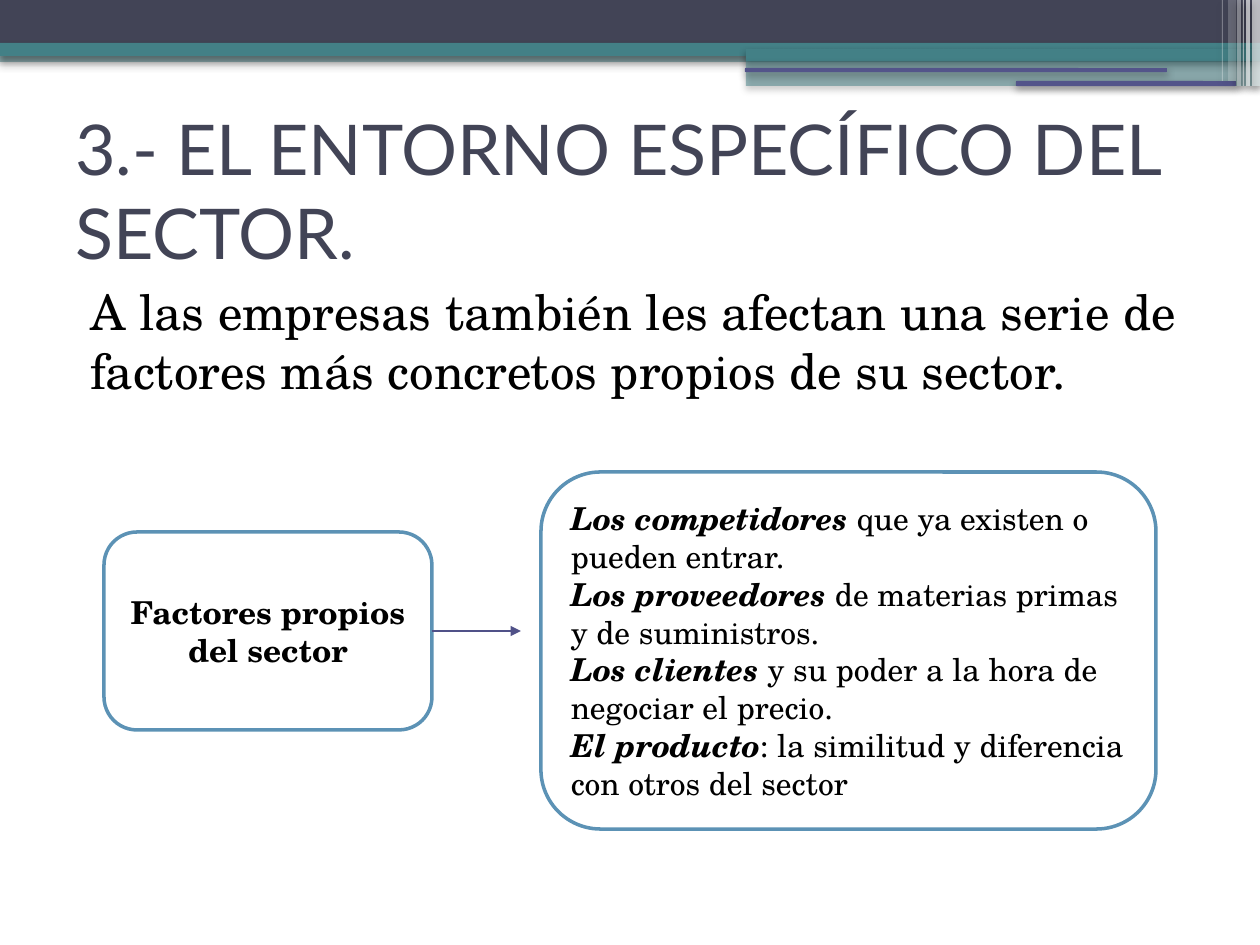
from lxml.etree import SubElement
from pptx import Presentation
from pptx.dml.color import RGBColor
from pptx.enum.shapes import MSO_CONNECTOR, MSO_SHAPE
from pptx.enum.text import MSO_ANCHOR, PP_ALIGN
from pptx.oxml.ns import qn
from pptx.util import Pt

HEX = {"navy": "424456", "teal": "438086", "violet": "53548A", "arrow": "505188",
       "blue": "5C92B5", "white": "FFFFFF", "black": "000000"}
HEAD, BODY = "Lato", "TeX Gyre Schola"
SCALE = 914400 / 126
WIDE, HIGH = 1260, 945

TITLE = [[("3.- EL ENTORNO ESPECÍFICO DEL SECTOR.", "")]]
INTRO = [[("A las empresas también les afectan una serie de factores más "
           "concretos propios de su sector.", "")]]
LABEL = [[("Factores propios del sector", "b")]]
FACTORS = [
    [("Los competidores ", "bi"), ("que ya existen o pueden entrar.", "")],
    [("Los proveedores ", "bi"), ("de materias primas y de suministros.", "")],
    [("Los clientes ", "bi"), ("y su poder a la hora de negociar el precio.", "")],
    [("El producto", "bi"), (": la similitud y diferencia con otros del sector", "")],
]

# left, top, width, height, colour, opacity in percent
BANDS = [
    (0, 50, WIDE, 12, "teal", 50),
    (0, 0, WIDE, 43, "navy", 100),
    (0, 43, WIDE, 13, "teal", 100),
    (746, 49, 514, 12, "teal", 100),
    (746, 61, 514, 25, "teal", 50),
]
RULES = [(745, 68, 422, 4), (1016, 81, 220, 5)]
# left, width, height, opacity in percent
STRIPES = [(1252, 8, 86, 66), (1246, 4, 86, 66), (1243, 1, 86, 60),
           (1237, 4, 86, 40), (1228, 8, 81, 20), (1222, 1, 81, 31)]
CAUSE = (104, 532, 328, 198)
LIST = (541, 472, 615, 357)
ARROW = (432, 631, 521, 631)


def emu(*vals):
    """Turn pixels into EMU."""
    return [round(v * SCALE) for v in vals]


def tint(name):
    """Look up a colour."""
    return RGBColor.from_string(HEX[name])


def write(shape, paras, font=BODY, size=18, color="black", align=PP_ALIGN.LEFT,
          anchor=MSO_ANCHOR.MIDDLE, indent=0, before=0):
    """Fill a shape with paragraphs of (text, style) runs."""
    frame = shape.text_frame
    frame.word_wrap = True
    frame.vertical_anchor = anchor
    for num, runs in enumerate(paras):
        para = frame.add_paragraph() if num else frame.paragraphs[0]
        para.alignment = align
        para.space_before = Pt(before)
        if indent:
            para._p.get_or_add_pPr().set("marL", str(emu(indent)[0]))
        for text, style in runs:
            run = para.add_run()
            run.text = text
            run.font.name, run.font.size = font, Pt(size)
            run.font.bold, run.font.italic = "b" in style, "i" in style
            run.font.color.rgb = tint(color)


def block(box, fill, kind=MSO_SHAPE.RECTANGLE):
    """Add a filled shape with no line or shadow."""
    shape = slide.shapes.add_shape(kind, *emu(*box))
    shape.shadow.inherit = False
    shape.fill.solid()
    shape.fill.fore_color.rgb = tint(fill)
    shape.line.fill.background()
    return shape


def shade(parent, name, alpha):
    """Add a colour with opacity to an XML node."""
    node = SubElement(parent, qn("a:srgbClr"), val=HEX[name])
    SubElement(node, qn("a:alpha"), val=str(alpha * 1000))


def strip(box, fill, alpha=100, kind=MSO_SHAPE.RECTANGLE):
    """Add a header part with opacity and a soft shadow below."""
    props = block(box, fill, kind)._element.spPr
    solid = props.find(qn("a:solidFill"))
    solid.remove(solid[0])
    shade(solid, fill, alpha)
    drop = SubElement(props.find(qn("a:effectLst")), qn("a:outerShdw"),
                      blurRad=str(Pt(4.1)), dist=str(Pt(2)), dir="5400000",
                      algn="t", rotWithShape="0")
    shade(drop, "black", 40)


def card(box, paras, **style):
    """Add an outlined rounded box with text."""
    shape = block(box, "white", MSO_SHAPE.ROUNDED_RECTANGLE)
    shape.line.color.rgb = tint("blue")
    shape.line.width = Pt(2)
    write(shape, paras, **style)


def arrow(ends):
    """Add a thin line with an arrowhead at its end."""
    line = slide.shapes.add_connector(MSO_CONNECTOR.STRAIGHT, *emu(*ends))
    line.line.color.rgb = tint("arrow")
    line.line.width = Pt(0.75)
    SubElement(line.line._get_or_add_ln(), qn("a:tailEnd"), type="triangle")
    SubElement(line._element.spPr, qn("a:effectLst"))


deck = Presentation()
deck.slide_width, deck.slide_height = emu(WIDE, HIGH)
slide = deck.slides.add_slide(deck.slide_layouts[6])

for *box, fill, alpha in BANDS:
    strip(box, fill, alpha)
for box in RULES:
    strip(box, "violet", kind=MSO_SHAPE.ROUNDED_RECTANGLE)
for left, width, height, alpha in STRIPES:
    strip((left, 0, width, height), "white", alpha)

write(slide.shapes.add_textbox(*emu(63, 115, 1134, 149)), TITLE,
      font=HEAD, size=40, color="navy")
write(slide.shapes.add_textbox(*emu(63, 275, 1134, 631)), INTRO,
      size=28, anchor=MSO_ANCHOR.TOP, indent=15, before=3)
card(CAUSE, LABEL, align=PP_ALIGN.CENTER)
card(LIST, FACTORS)
arrow(ARROW)

deck.save("out.pptx")
